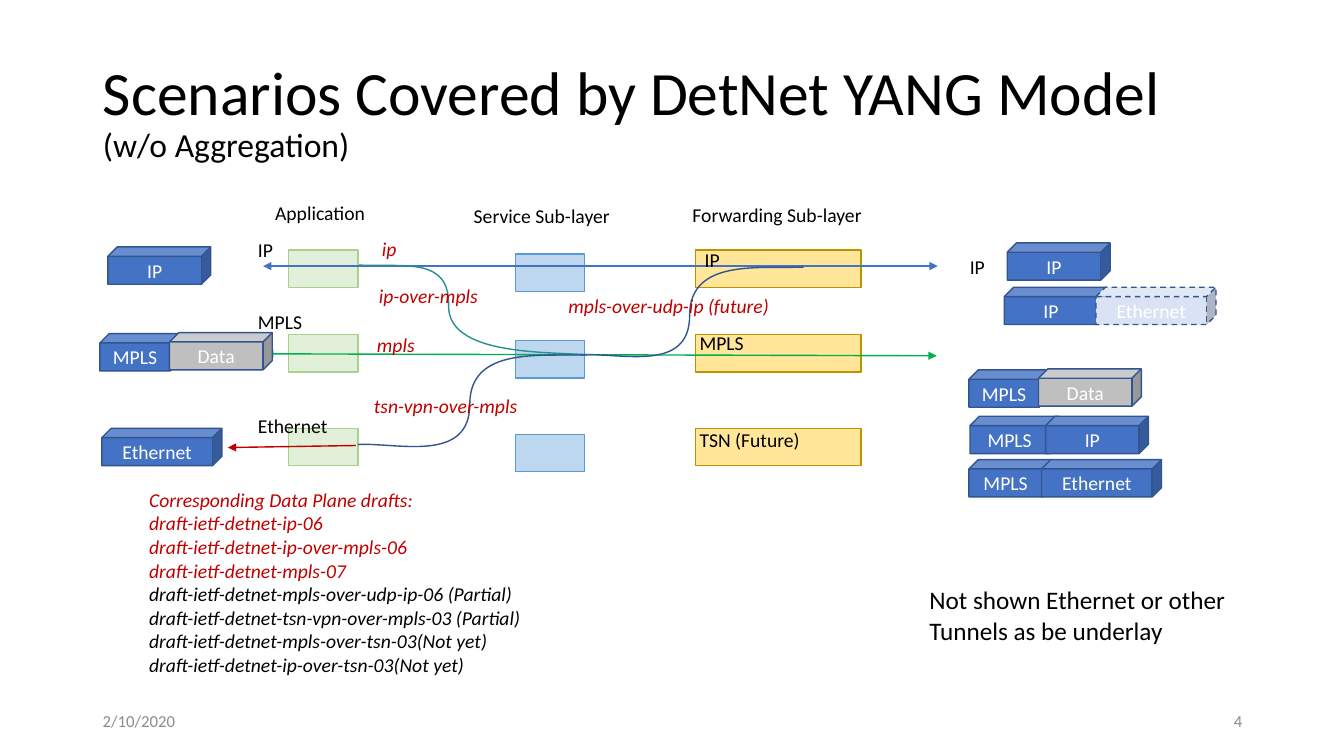
from dataclasses import dataclass
from typing import NamedTuple

from lxml.etree import SubElement
from pptx import Presentation
from pptx.dml.color import RGBColor
from pptx.enum.dml import MSO_LINE
from pptx.enum.shapes import MSO_CONNECTOR, MSO_SHAPE
from pptx.enum.text import MSO_ANCHOR, MSO_AUTO_SIZE, PP_ALIGN
from pptx.oxml.ns import qn
from pptx.util import Inches, Pt


@dataclass(frozen=True)
class Theme:
    font: str = "Calibri"
    title: int = 44
    subtitle: int = 24
    note: int = 18
    body: int = 14
    footer: int = 12
    black: str = "000000"
    white: str = "FFFFFF"
    grey: str = "8C8C8C"
    red: str = "C00000"
    green: str = "00B050"
    teal: str = "298D95"
    blue: str = "4472C4"
    navy: str = "325491"
    silver: str = "BFBFBF"
    pale_blue: str = "DAE3F3"


class Layer(NamedTuple):
    left: float
    width: float
    tops: tuple[float, ...]
    fill: str
    outline: str


class Header(NamedTuple):
    text: str
    left: float
    top: float
    width: float
    fill: str
    dashed: bool = False


class Label(NamedTuple):
    text: str
    left: float
    top: float
    width: float
    color: str
    italic: bool = False


class Flow(NamedTuple):
    start: tuple[float, float]
    end: tuple[float, float]
    color: str
    arrow_ends: tuple[str, ...]


class Path(NamedTuple):
    points: tuple[tuple[float, float], ...]
    color: str


THEME = Theme()
GRID_ROWS = 75
prs = Presentation()
prs.slide_width, prs.slide_height = Inches(13.33), Inches(7.5)
CELL = prs.slide_height // GRID_ROWS
BLOCK_HEIGHT = 3.7
LABEL_HEIGHT = 3.4


def cells(*counts: float) -> list[int]:
    """Lengths of the square slide grid, 75 rows high."""
    return [round(count * CELL) for count in counts]


def style_run(run, size: int, color: str, italic: bool = False) -> None:
    run.font.name, run.font.size, run.font.italic = THEME.font, Pt(size), italic
    run.font.color.rgb = RGBColor.from_string(color)


def add_text(text: str, box: tuple[float, ...], size: int, color: str, italic: bool = False,
             align=PP_ALIGN.LEFT, anchor=MSO_ANCHOR.TOP):
    frame = slide.shapes.add_textbox(*cells(*box)).text_frame
    frame.text, frame.word_wrap, frame.vertical_anchor = text, True, anchor
    for paragraph in frame.paragraphs:
        paragraph.alignment = align
        style_run(paragraph.runs[0], size, color, italic)
    return frame


def add_block(kind, box: tuple[float, ...], fill: str, outline: str):
    block = slide.shapes.add_shape(kind, *cells(*box))
    block.shadow.inherit = False
    block.fill.solid()
    block.fill.fore_color.rgb = RGBColor.from_string(fill)
    block.line.color.rgb = RGBColor.from_string(outline)
    block.line.width = Pt(1)
    return block


def add_header(header: Header) -> None:
    cube = add_block(MSO_SHAPE.CUBE, (header.left, header.top, header.width, BLOCK_HEIGHT),
                     header.fill, THEME.navy)
    if header.dashed:
        cube.line.dash_style = MSO_LINE.DASH
    frame = cube.text_frame
    frame.text, frame.vertical_anchor = header.text, MSO_ANCHOR.MIDDLE
    frame.paragraphs[0].alignment = PP_ALIGN.CENTER
    style_run(frame.paragraphs[0].runs[0], THEME.body, THEME.white)


def add_flow(flow: Flow) -> None:
    arrow = slide.shapes.add_connector(MSO_CONNECTOR.STRAIGHT, *cells(*flow.start, *flow.end))
    arrow.line.color.rgb = RGBColor.from_string(flow.color)
    arrow.line.width = Pt(1)
    outline = arrow.line._get_or_add_ln()
    for end in flow.arrow_ends:
        SubElement(outline, qn(f"a:{end}"), type="triangle")
    SubElement(arrow._element.spPr, qn("a:effectLst"))


def add_path(path: Path) -> None:
    """Draw a start point and Bezier triples as one smooth open curve."""
    start, *rest = [tuple(cells(*point)) for point in path.points]
    builder = slide.shapes.build_freeform(*start)
    builder.add_line_segments(rest, close=False)
    curve = builder.convert_to_shape()
    curve.shadow.inherit = False
    curve.fill.background()
    curve.line.color.rgb = RGBColor.from_string(path.color)
    curve.line.width = Pt(1)
    outline = next(curve._element.iter(qn("a:path")))
    segments = outline.findall(qn("a:lnTo"))
    for first in range(0, len(segments), 3):
        bezier = SubElement(outline, qn("a:cubicBezTo"))
        for segment in segments[first:first + 3]:
            bezier.append(segment[0])
            outline.remove(segment)


# Title
slide = prs.slides.add_slide(prs.slide_layouts[5])
title = slide.shapes.title
title.left, title.top, title.width, title.height = cells(9.2, 4, 115, 14.5)
heading = title.text_frame
heading.text = "Scenarios Covered by DetNet YANG Model\v(w/o Aggregation)"
heading.auto_size, heading.vertical_anchor = MSO_AUTO_SIZE.NONE, MSO_ANCHOR.MIDDLE
heading.paragraphs[0].alignment, heading.paragraphs[0].line_spacing = PP_ALIGN.LEFT, 0.9
for heading_run, heading_size in zip(heading.paragraphs[0].runs, (THEME.title, THEME.subtitle)):
    style_run(heading_run, heading_size, THEME.black)

# Footer
for footer_text, footer_left, footer_align in (("2/10/2020", 9.2, PP_ALIGN.LEFT),
                                               ("4", 94.2, PP_ALIGN.RIGHT)):
    add_text(footer_text, (footer_left, 69.5, 30, 4), THEME.footer, THEME.grey,
             align=footer_align, anchor=MSO_ANCHOR.MIDDLE)

# Layers: application, service, forwarding
LANES = (24.8, 33.2, 42.5)
for layer in (Layer(28.6, 6.9, LANES, "E2F0D9", "A9D18E"),
              Layer(51.1, 6.9, (25.2, 33.8, 43.1), "BDD7EE", "5B9BD5"),
              Layer(69, 16.4, LANES, "FFE699", "BF9000")):
    for lane_top in layer.tops:
        add_block(MSO_SHAPE.RECTANGLE, (layer.left, lane_top, layer.width, BLOCK_HEIGHT),
                  layer.fill, layer.outline)

# Flows through the layers
BOTH = ("headEnd", "tailEnd")
for flow in (Flow((26.1, 26.4), (93, 26.4), THEME.blue, BOTH),
             Flow((26.3, 35.1), (92.9, 35.3), THEME.green, BOTH),
             Flow((35.3, 44.2), (22.6, 44.4), THEME.red, BOTH[1:])):
    add_flow(flow)
for path in (
    Path(((79.7, 26.5), (75.4, 26.7), (68.4, 25.6), (68.4, 31.3),
          (68.4, 37), (61.7, 35), (57.6, 35.2)), THEME.navy),
    Path(((58.3, 35.2), (53.8, 34.9), (44.4, 35.2), (44.5, 30.3),
          (44.6, 25.5), (40.2, 26.5), (35.6, 26.3)), THEME.teal),
    Path(((58.2, 35.2), (53.8, 35.4), (46.6, 34.3), (46.6, 40.1),
          (46.6, 46), (39.4, 43.9), (35.5, 44.1)), THEME.navy),
):
    add_path(path)

# Layer, lane and scenario labels
for label in (
    Label("Application", 26.3, 19.4, 11.5, THEME.black),
    Label("Service Sub-layer", 46, 19.7, 16.5, THEME.black),
    Label("Forwarding Sub-layer", 67.7, 19.6, 20, THEME.black),
    Label("IP", 24.6, 23.1, 3.5, THEME.black),
    Label("MPLS", 24.6, 30.3, 8.8, THEME.black),
    Label("Ethernet", 24.6, 40.6, 11.9, THEME.black),
    Label("IP", 68.9, 24.1, 8.8, THEME.black),
    Label("MPLS", 68.4, 32.3, 8.8, THEME.black),
    Label("TSN (Future)", 68.4, 42, 13.8, THEME.black),
    Label("IP", 95.2, 24.8, 3.5, THEME.black),
    Label("ip", 36.9, 23, 8.8, THEME.red, True),
    Label("ip-over-mpls", 36.6, 27.7, 15.3, THEME.red, True),
    Label("mpls", 36.4, 32.5, 15.3, THEME.red, True),
    Label("tsn-vpn-over-mpls", 36.1, 38.6, 17, THEME.red, True),
    Label("mpls-over-udp-ip (future)", 55.4, 28.7, 22.3, THEME.red, True),
):
    add_text(label.text, (label.left, label.top, label.width, LABEL_HEIGHT),
             THEME.body, label.color, label.italic)

# Packet headers entering and leaving
for header in (
    Header("IP", 10.7, 24.5, 10.2, THEME.blue),
    Header("MPLS", 9.9, 33.1, 7.9, THEME.blue),
    Header("Data", 16.8, 33, 10.2, THEME.silver),
    Header("Ethernet", 10.1, 42.5, 11.9, THEME.blue),
    Header("IP", 99.9, 24.1, 10.2, THEME.blue),
    Header("IP", 99.6, 28.5, 10.2, THEME.blue),
    Header("Ethernet", 108.7, 28.5, 11.9, THEME.pale_blue, dashed=True),
    Header("MPLS", 96.1, 36.7, 7.9, THEME.blue),
    Header("Data", 103, 36.6, 10.2, THEME.silver),
    Header("MPLS", 96.2, 41.3, 8.8, THEME.blue),
    Header("IP", 103.7, 41.3, 10.2, THEME.blue),
    Header("MPLS", 96.1, 45.6, 8.2, THEME.blue),
    Header("Ethernet", 103.3, 45.6, 11.9, THEME.blue),
):
    add_header(header)

# Drafts and closing note
COVERED = ("Corresponding Data Plane drafts:", "draft-ietf-detnet-ip-06",
           "draft-ietf-detnet-ip-over-mpls-06", "draft-ietf-detnet-mpls-07")
REMAINING = ("draft-ietf-detnet-mpls-over-udp-ip-06 (Partial)",
             "draft-ietf-detnet-tsn-vpn-over-mpls-03 (Partial)",
             "draft-ietf-detnet-mpls-over-tsn-03(Not yet)",
             "draft-ietf-detnet-ip-over-tsn-03(Not yet)")
drafts = add_text("\n".join(COVERED + REMAINING), (13.8, 47.9, 41.9, 22.2),
                  THEME.body, THEME.black, italic=True)
for covered_draft in drafts.paragraphs[:len(COVERED)]:
    style_run(covered_draft.runs[0], THEME.body, THEME.red, italic=True)
add_text("Not shown Ethernet or other Tunnels as be underlay", (91.2, 57.5, 33, 7.1),
         THEME.note, THEME.black)

prs.save("out.pptx")
